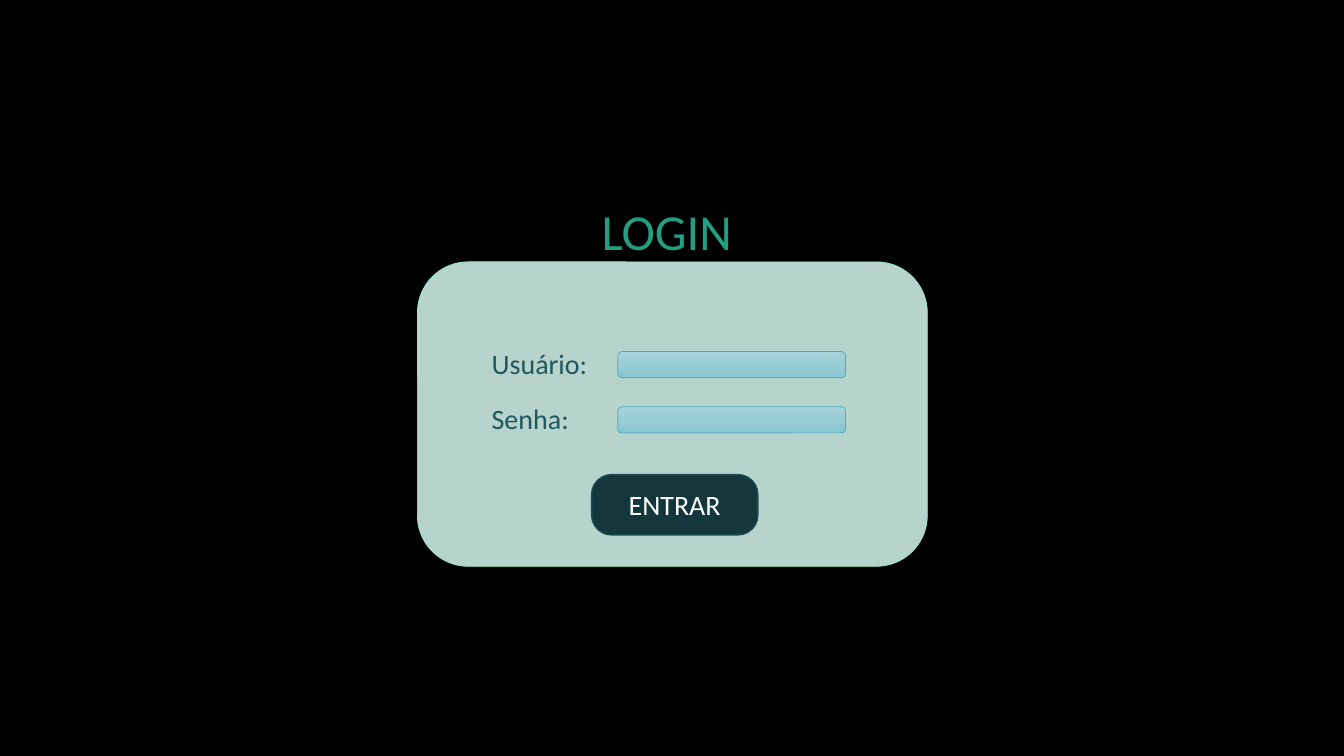
from copy import deepcopy

from lxml import etree
from pptx import Presentation
from pptx.dml.color import RGBColor
from pptx.enum.shapes import MSO_SHAPE
from pptx.enum.text import MSO_ANCHOR, PP_ALIGN
from pptx.oxml.ns import qn
from pptx.util import Cm, Pt

ROUNDED = MSO_SHAPE.ROUNDED_RECTANGLE
LEFT, CENTER = PP_ALIGN.LEFT, PP_ALIGN.CENTER
TOP, MIDDLE = MSO_ANCHOR.TOP, MSO_ANCHOR.MIDDLE

BLACK = RGBColor(0x00, 0x00, 0x00)
WHITE = RGBColor(0xFF, 0xFF, 0xFF)
MINT = RGBColor(0xD5, 0xF6, 0xEE)
MINT_EDGE = RGBColor(0x97, 0xE9, 0xD5)
GREEN = RGBColor(0x22, 0x9E, 0x80)
TEAL = RGBColor(0x20, 0x57, 0x5E)
BUTTON_FILL = RGBColor(0x14, 0x37, 0x3C)
BUTTON_EDGE = RGBColor(0x1C, 0x4C, 0x53)
FIELD_EDGE = RGBColor(0x41, 0xAE, 0xBD)
FIELD_STOPS = [
    (0, RGBColor(0xA7, 0xD3, 0xDB)),
    (0.5, RGBColor(0x99, 0xCC, 0xD5)),
    (1, RGBColor(0x86, 0xC7, 0xD2)),
]

TITLE = "LOGIN"
LABELS = ["Usuário:", "Senha:"]
BUTTON = "ENTRAR"

# Boxes are left, top, width, height in centimetres
FRAME_BOX = (10.03, 4.42, 13.79, 10.21)
CARD_BOX = (10.52, 6.6, 12.85, 7.67)
TITLE_BOX = (14.91, 4.93, 4.19, 1.8)
BUTTON_BOX = (14.91, 11.96, 4.19, 1.52)
LABEL_BOX = (12.14, 8.61, 4.19, 1.12)
FIELD_BOX = (15.57, 8.86, 5.74, 0.66)
ROW_STEP = 1.39


def move_down(box, row):
    """Return the box shifted to the given form row."""
    left, top, width, height = box
    return left, top + row * ROW_STEP, width, height


def write(shape, text, size, color, align=LEFT, anchor=TOP):
    """Put one line of formatted text into a shape."""
    tf = shape.text_frame
    tf.word_wrap = True
    tf.vertical_anchor = anchor
    p = tf.paragraphs[0]
    p.alignment = align
    r = p.add_run()
    r.text = text
    for name, value in {"name": "Calibri", "size": Pt(size)}.items():
        setattr(r.font, name, value)
    r.font.color.rgb = color


def add_text(s, box, text, size, color):
    """Add a text box."""
    write(s.shapes.add_textbox(*map(Cm, box)), text, size, color)


def add_panel(s, box, edge, width, fill=None, opacity=100, corner=0.1667):
    """Add a rounded rectangle, solid when a fill is given."""
    sp = s.shapes.add_shape(ROUNDED, *map(Cm, box))
    sp.shadow.inherit = False
    sp.adjustments[0] = corner
    sp.line.color.rgb = edge
    sp.line.width = Pt(width)
    if fill is not None:
        sp.fill.solid()
        sp.fill.fore_color.rgb = fill
        if opacity < 100:
            color = sp.element.spPr.find(qn("a:solidFill"))[0]
            etree.SubElement(color, qn("a:alpha"), val=str(opacity * 1000))
    return sp


def add_field(s, box):
    """Add an input field with a top-to-bottom gradient."""
    sp = add_panel(s, box, FIELD_EDGE, 0.5)
    sp.fill.gradient()
    sp.fill.gradient_angle = 270
    stops = sp.element.spPr.find(qn("a:gradFill")).find(qn("a:gsLst"))
    stops.insert(1, deepcopy(stops[0]))
    for stop, (position, color) in zip(sp.fill.gradient_stops, FIELD_STOPS):
        stop.position = position
        stop.color.rgb = color


prs = Presentation()
prs.slide_width, prs.slide_height = Cm(33.87), Cm(19.05)
s = prs.slides.add_slide(prs.slide_layouts[6])
s.background.fill.solid()
s.background.fill.fore_color.rgb = BLACK

add_panel(s, FRAME_BOX, BLACK, 1, BLACK, opacity=74, corner=0.08)
add_panel(s, CARD_BOX, MINT_EDGE, 0.5, MINT, opacity=86)
add_text(s, TITLE_BOX, TITLE, 36, GREEN)
for row, label in enumerate(LABELS):
    add_text(s, move_down(LABEL_BOX, row), label, 20, TEAL)
    add_field(s, move_down(FIELD_BOX, row))
button = add_panel(s, BUTTON_BOX, BUTTON_EDGE, 1, BUTTON_FILL, corner=0.33)
write(button, BUTTON, 20, WHITE, CENTER, MIDDLE)

prs.save("out.pptx")
